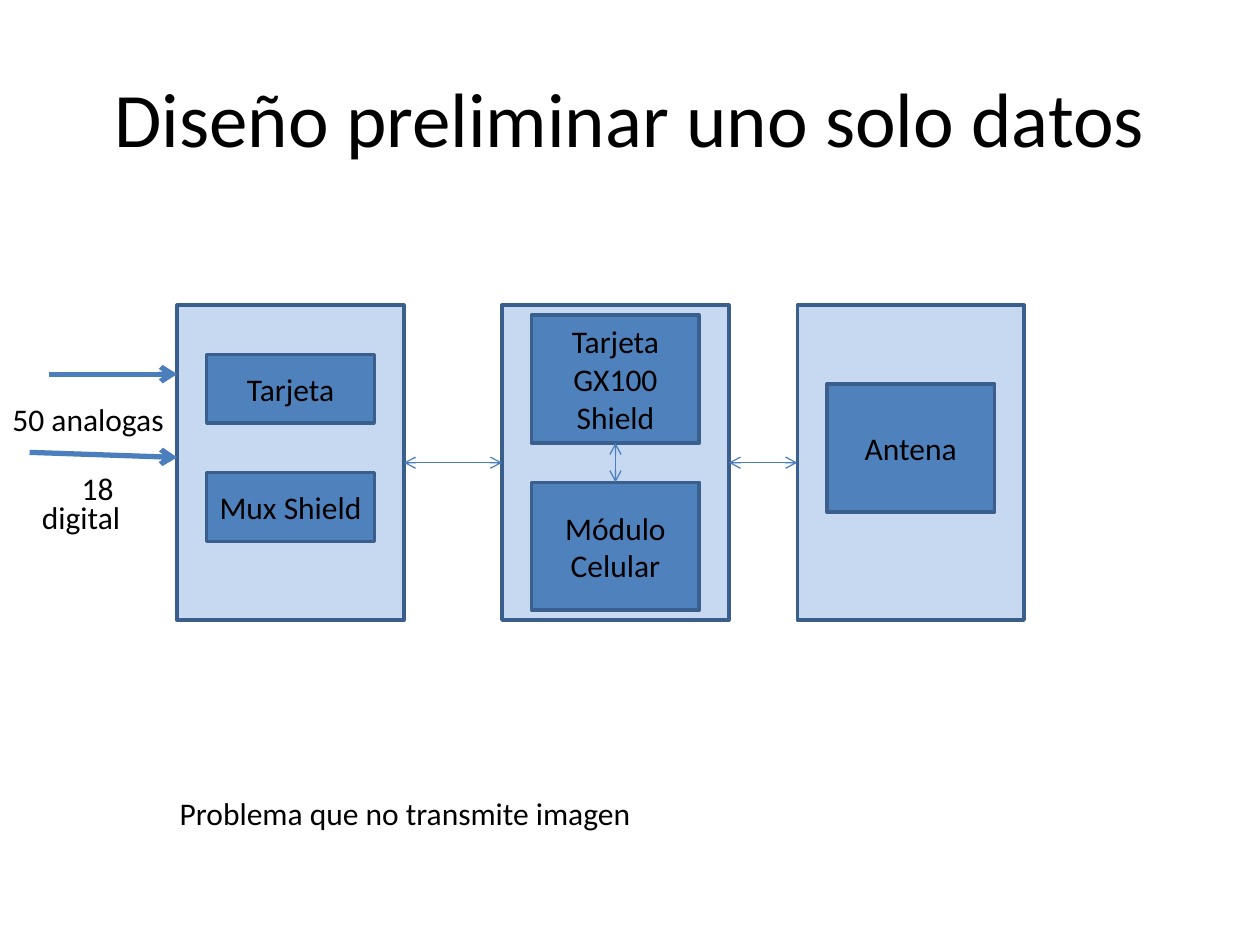
import pptx
import pptx.dml.color
import pptx.enum.shapes
import pptx.enum.text
import pptx.util
from pptx.oxml.ns import qn
from lxml import etree

Pt = pptx.util.Pt
ALIGN = pptx.enum.text.PP_ALIGN
ANCHOR = pptx.enum.text.MSO_ANCHOR
COLORS = {"text": "000000", "panel": "C6D9F1", "box": "4F81BD",
          "edge": "3A5F8C", "arrow": "4B7EBC"}


def shade(name):
    """Return the named colour."""
    return pptx.dml.color.RGBColor.from_string(COLORS[name])


class Deck:
    """Holds the style and the current slide."""

    font = "Calibri"
    size = 18

    def __init__(self, wide, high):
        """Start a deck with one title slide."""
        self.deck = pptx.Presentation()
        self.deck.slide_width, self.deck.slide_height = Pt(wide), Pt(high)
        self.slide = self.deck.slides.add_slide(self.deck.slide_layouts[5])

    def style(self, frame, text, size, align):
        """Put styled text in a frame."""
        frame.text = text
        for para in frame.paragraphs:
            para.alignment = align
            para.font.name = self.font
            para.font.size = Pt(size)
            para.font.color.rgb = shade("text")

    def title(self, text, x, y, w, h):
        """Fill and place the title."""
        shape = self.slide.shapes.title
        shape.left, shape.top, shape.width, shape.height = map(Pt, (x, y, w, h))
        shape.text_frame.vertical_anchor = ANCHOR.MIDDLE
        self.style(shape.text_frame, text, 44, ALIGN.CENTER)

    def rect(self, x, y, w, h, fill, text=None):
        """Add an edged rectangle, with centred text if given."""
        shape = self.slide.shapes.add_shape(
            pptx.enum.shapes.MSO_SHAPE.RECTANGLE, *map(Pt, (x, y, w, h)))
        shape.shadow.inherit = False
        shape.fill.solid()
        shape.fill.fore_color.rgb = shade(fill)
        shape.line.color.rgb = shade("edge")
        shape.line.width = Pt(2)
        if text:
            frame = shape.text_frame
            frame.word_wrap = True
            frame.margin_left = frame.margin_right = Pt(5)
            frame.vertical_anchor = ANCHOR.MIDDLE
            self.style(frame, text, self.size, ALIGN.CENTER)

    def label(self, text, x, y, w, wrap=False):
        """Add a line of free text."""
        box = self.slide.shapes.add_textbox(*map(Pt, (x, y, w, 29)))
        box.text_frame.word_wrap = wrap
        self.style(box.text_frame, text, self.size, ALIGN.LEFT)

    def arrow(self, start, end, width, both=False):
        """Add an arrow, with heads at both ends if asked."""
        line = self.slide.shapes.add_connector(
            pptx.enum.shapes.MSO_CONNECTOR.STRAIGHT, *map(Pt, start + end))
        line.line.color.rgb = shade("arrow")
        line.line.width = Pt(width)
        props = line._element.spPr
        etree.SubElement(props, qn("a:effectLst"))
        edge = props.find(qn("a:ln"))
        for tag in ("a:headEnd", "a:tailEnd") if both else ("a:tailEnd",):
            etree.SubElement(edge, qn(tag), type="arrow")


def main():
    """Build the slide."""
    deck = Deck(720, 540)
    deck.title("Diseño preliminar uno solo datos", 36, 21.6, 648, 90)

    top, wide, high = 174.4, 129.6, 180
    low, tall, inset = 39.4, 73.1, 16.9
    panels = [
        (101.25, [("Tarjeta", 202.5, low), ("Mux Shield", 270, low)]),
        (286.9, [("Tarjeta GX100 Shield", 180, tall),
                 ("Módulo Celular", 275.6, tall)]),
        (455.6, [("Antena", 219.4, tall)]),
    ]
    for left, boxes in panels:
        deck.rect(left, top, wide, high, "panel")
        for text, y, h in boxes:
            deck.rect(left + inset, y, wide - 2 * inset, h, "box", text)

    mid = top + high / 2
    lefts = [left for left, _ in panels]
    for left, right in zip(lefts, lefts[1:]):
        deck.arrow((left + wide, mid), (right, mid), 0.75, both=True)
    center = lefts[1] + wide / 2
    deck.arrow((center, 275.6), (center, 180 + tall), 0.75, both=True)

    deck.arrow((28.1, 213.8), (lefts[0], 213.8), 3)
    deck.arrow((16.9, 258.5), (lefts[0], 261.4), 3)

    deck.label("50", 0, 225, 33)
    deck.label("analogas", 22.3, 225, 79)
    deck.label("18", 39.6, 264.4, 33)
    deck.label("digital", 16.9, 281.3, 73, wrap=True)
    deck.label("Problema que no transmite imagen", 95.6, 450, 275)
    deck.deck.save("out.pptx")


main()
